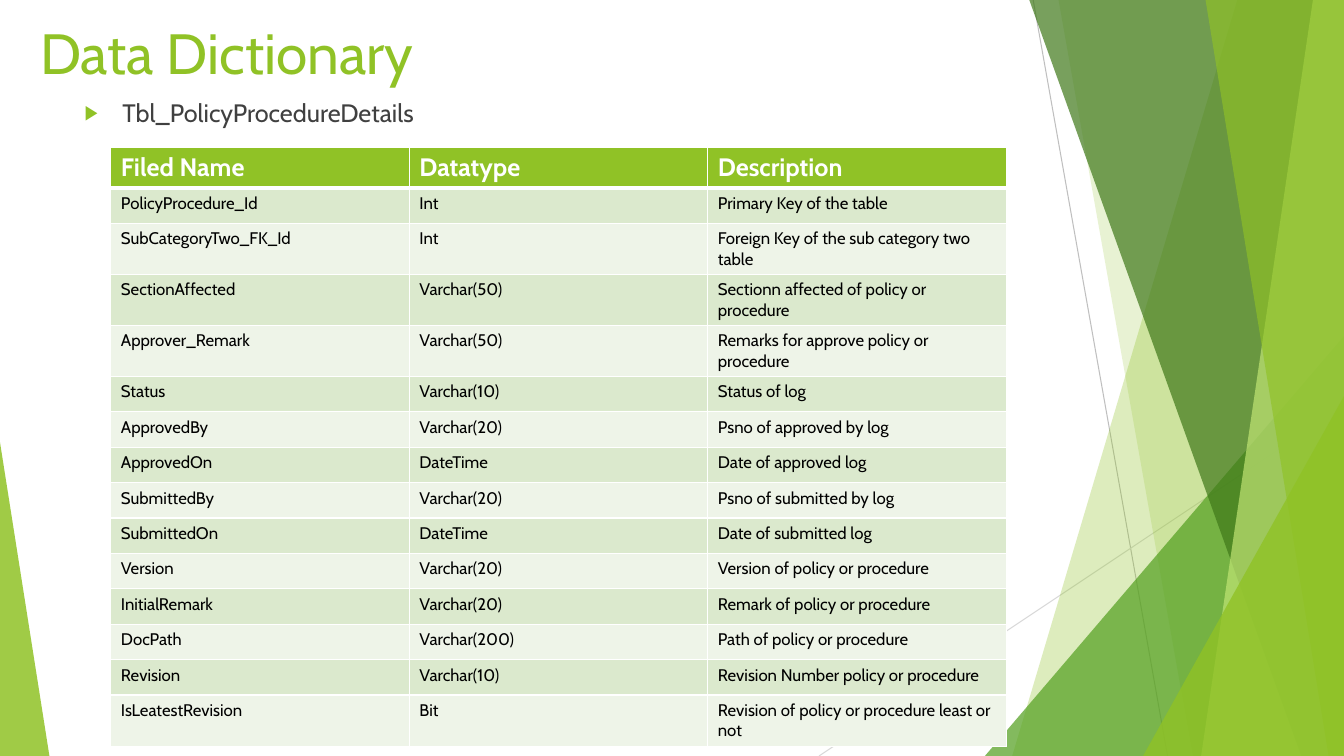
from lxml import etree
from pptx import Presentation
from pptx.dml.color import RGBColor
from pptx.enum import shapes, text
from pptx.oxml import ns
from pptx.util import Pt

WHITE = RGBColor(0xFF, 0xFF, 0xFF)
BLACK = RGBColor(0x00, 0x00, 0x00)
TEXT_GREY = RGBColor(0x40, 0x40, 0x40)
LINE_GREY = RGBColor(0xBF, 0xBF, 0xBF)
PALE_GREY = RGBColor(0xD9, 0xD9, 0xD9)
LIME = RGBColor(0x90, 0xC2, 0x26)
PALE_LIME = RGBColor(0xC0, 0xE4, 0x74)
GREEN = RGBColor(0x54, 0xA0, 0x21)
DARK_GREEN = RGBColor(0x3F, 0x78, 0x19)
BAND_DARK = RGBColor(0xDB, 0xE9, 0xCD)
BAND_LIGHT = RGBColor(0xEE, 0xF4, 0xE8)

FONT = "Cabin"
WIDTH, HEIGHT = 960, 540
FACET_TOP = -0.7
COL_WIDTH = 213.2
HEADER_HEIGHT, ROW_HEIGHT, TALL_ROW_HEIGHT = 29.2, 25.3, 36.5

HEADER = ("Filed Name", "Datatype", "Description")
FIELDS = [
    ("PolicyProcedure_Id", "Int", "Primary Key of the table"),
    ("SubCategoryTwo_FK_Id", "Int", "Foreign Key of the sub category two table"),
    ("SectionAffected", "Varchar(50)", "Sectionn affected of policy or procedure"),
    ("Approver_Remark", "Varchar(50)", "Remarks for approve policy or procedure"),
    ("Status", "Varchar(10)", "Status of log"),
    ("ApprovedBy", "Varchar(20)", "Psno of approved by log"),
    ("ApprovedOn", "DateTime", "Date of approved log"),
    ("SubmittedBy", "Varchar(20)", "Psno of submitted by log"),
    ("SubmittedOn", "DateTime", "Date of submitted log"),
    ("Version", "Varchar(20)", "Version of policy or procedure"),
    ("InitialRemark", "Varchar(20)", "Remark of policy or procedure"),
    ("DocPath", "Varchar(200)", "Path of policy or procedure"),
    ("Revision", "Varchar(10)", "Revision Number policy or procedure"),
    ("IsLeatestRevision", "Bit", "Revision of policy or procedure least or not"),
]
TALL_ROWS = {2, 3, 4, 14}


def add_line(s, x1, y1, x2, y2, color):
    line = s.shapes.add_connector(shapes.MSO_CONNECTOR.STRAIGHT,
                                  Pt(x1), Pt(y1), Pt(x2), Pt(y2))
    line.line.color.rgb = color
    line.line.width = Pt(0.75)
    etree.SubElement(line._element.spPr, ns.qn("a:effectLst"))


def paint(sp, color, opacity):
    sp.shadow.inherit = False
    sp.line.fill.background()
    sp.fill.solid()
    sp.fill.fore_color.rgb = color
    clr = sp._element.spPr.find(".//" + ns.qn("a:srgbClr"))
    etree.SubElement(clr, ns.qn("a:alpha"), val=str(opacity * 1000))


def add_facet(s, top_x, bottom_x, color, opacity):
    """Band from a slanted left edge to the right side of the slide."""
    fb = s.shapes.build_freeform(Pt(top_x), Pt(FACET_TOP))
    fb.add_line_segments([(Pt(WIDTH), Pt(FACET_TOP)), (Pt(WIDTH), Pt(HEIGHT)),
                          (Pt(bottom_x), Pt(HEIGHT))], close=True)
    paint(fb.convert_to_shape(), color, opacity)


def add_triangle(s, x, w, h, apex, color, opacity):
    """Triangle that stands on the bottom edge of the slide."""
    sp = s.shapes.add_shape(shapes.MSO_SHAPE.ISOSCELES_TRIANGLE,
                            Pt(x), Pt(HEIGHT - h), Pt(w), Pt(h))
    sp.adjustments[0] = apex
    paint(sp, color, opacity)


def add_run(p, words, size, color, bold=False):
    r = p.add_run()
    r.text = words
    r.font.name = FONT
    r.font.size = Pt(size)
    r.font.bold = bold
    r.font.color.rgb = color


def add_text(s, x, y, w, h, words, size, color):
    tf = s.shapes.add_textbox(Pt(x), Pt(y), Pt(w), Pt(h)).text_frame
    tf.word_wrap = True
    tf.vertical_anchor = text.MSO_ANCHOR.TOP
    p = tf.paragraphs[0]
    add_run(p, words, size, color)
    return p


def add_bullet(p):
    p.space_before = Pt(10)
    pPr = p._p.get_or_add_pPr()
    pPr.set("marL", str(Pt(27)))
    pPr.set("indent", str(-Pt(27)))
    clr = etree.SubElement(pPr, ns.qn("a:buClr"))
    etree.SubElement(clr, ns.qn("a:srgbClr"), val=str(LIME))
    etree.SubElement(pPr, ns.qn("a:buSzPct"), val="80000")
    etree.SubElement(pPr, ns.qn("a:buFont"), typeface=FONT)
    etree.SubElement(pPr, ns.qn("a:buChar"), char="▶")


def set_borders(cell, widths):
    tcPr = cell._tc.get_or_add_tcPr()
    for i, (side, width) in enumerate(zip("LRTB", widths)):
        ln = etree.Element(ns.qn("a:ln" + side), w=str(Pt(width)))
        fill = etree.SubElement(ln, ns.qn("a:solidFill"))
        etree.SubElement(fill, ns.qn("a:srgbClr"), val=str(WHITE))
        tcPr.insert(i, ln)


def add_field_table(s, x, y):
    rows = [HEADER] + FIELDS
    heights = [HEADER_HEIGHT] + [TALL_ROW_HEIGHT if i in TALL_ROWS else ROW_HEIGHT
                                 for i in range(1, len(rows))]
    table = s.shapes.add_table(len(rows), len(HEADER), Pt(x), Pt(y),
                               Pt(COL_WIDTH * len(HEADER)), Pt(sum(heights))).table
    for col in table.columns:
        col.width = Pt(COL_WIDTH)
    for i, (values, height) in enumerate(zip(rows, heights)):
        table.rows[i].height = Pt(height)
        for j, value in enumerate(values):
            cell = table.cell(i, j)
            p = cell.text_frame.paragraphs[0]
            cell.fill.solid()
            if i == 0:
                cell.fill.fore_color.rgb = LIME
                add_run(p, value, 18, WHITE, bold=True)
            else:
                cell.fill.fore_color.rgb = BAND_DARK if i % 2 else BAND_LIGHT
                add_run(p, value, 12, BLACK)
            set_borders(cell, (1, 1, 3 if i == 1 else 1, 3 if i == 0 else 1))


def main():
    prs = Presentation()
    prs.slide_width, prs.slide_height = Pt(WIDTH), Pt(HEIGHT)
    s = prs.slides.add_slide(prs.slide_layouts[6])

    # Faceted green background
    add_line(s, 738, 0, 834, HEIGHT, LINE_GREY)
    add_line(s, WIDTH, 290, 585, HEIGHT, PALE_GREY)
    add_facet(s, 884, 723, LIME, 30)
    add_facet(s, 756, 852, LIME, 20)
    add_triangle(s, 703.5, 256.5, 300, 1, GREEN, 72)
    add_facet(s, 735, 929.5, DARK_GREEN, 70)
    add_facet(s, 938, 858, PALE_LIME, 70)
    add_facet(s, 861, 949, LIME, 65)
    add_triangle(s, 816.5, 143.5, 257, 1, LIME, 80)
    add_triangle(s, 0, 35.3, 224, 0, LIME, 85)

    # Title and table name
    add_text(s, 21.6, 9.4, 662, 47, "Data Dictionary", 40.5, LIME)
    add_bullet(add_text(s, 53.3, 66.2, 677, 410, "Tbl_PolicyProcedureDetails",
                        18, TEXT_GREY))

    # Field list
    add_field_table(s, 79.2, 105)

    prs.save("out.pptx")


if __name__ == "__main__":
    main()
